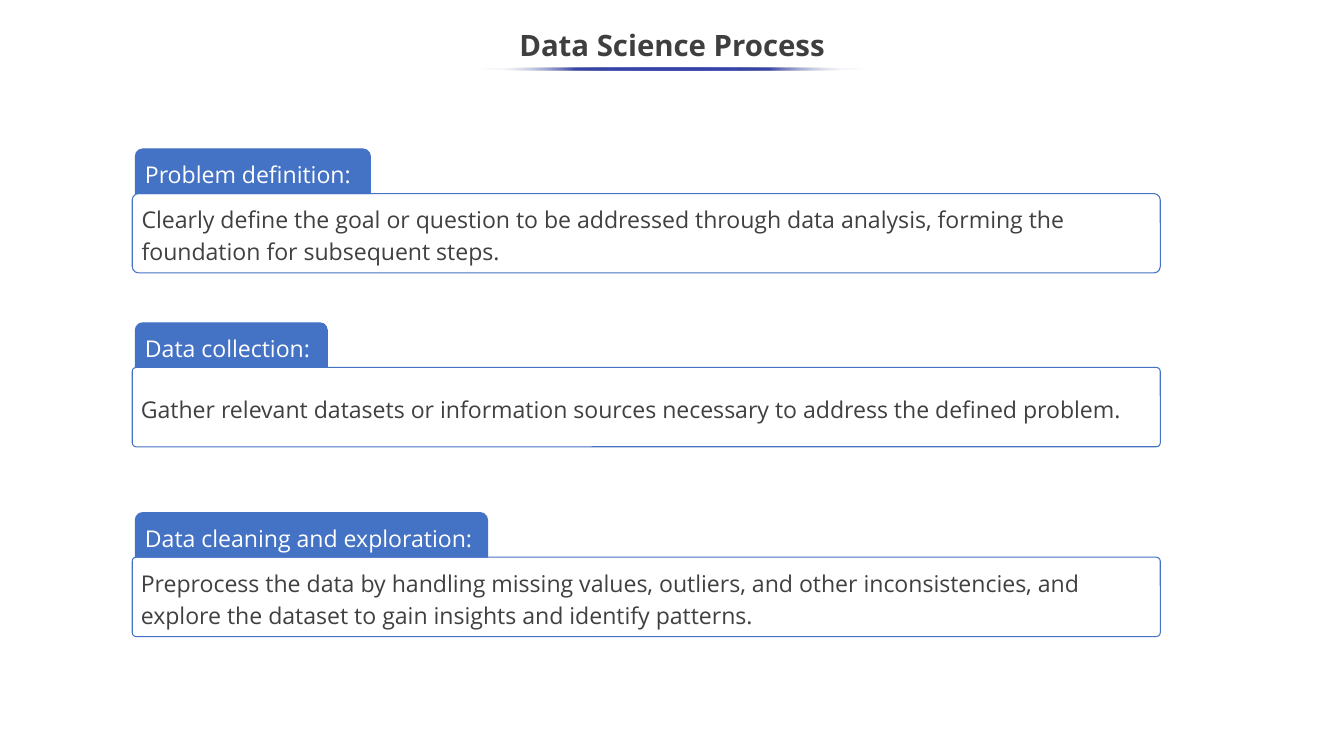
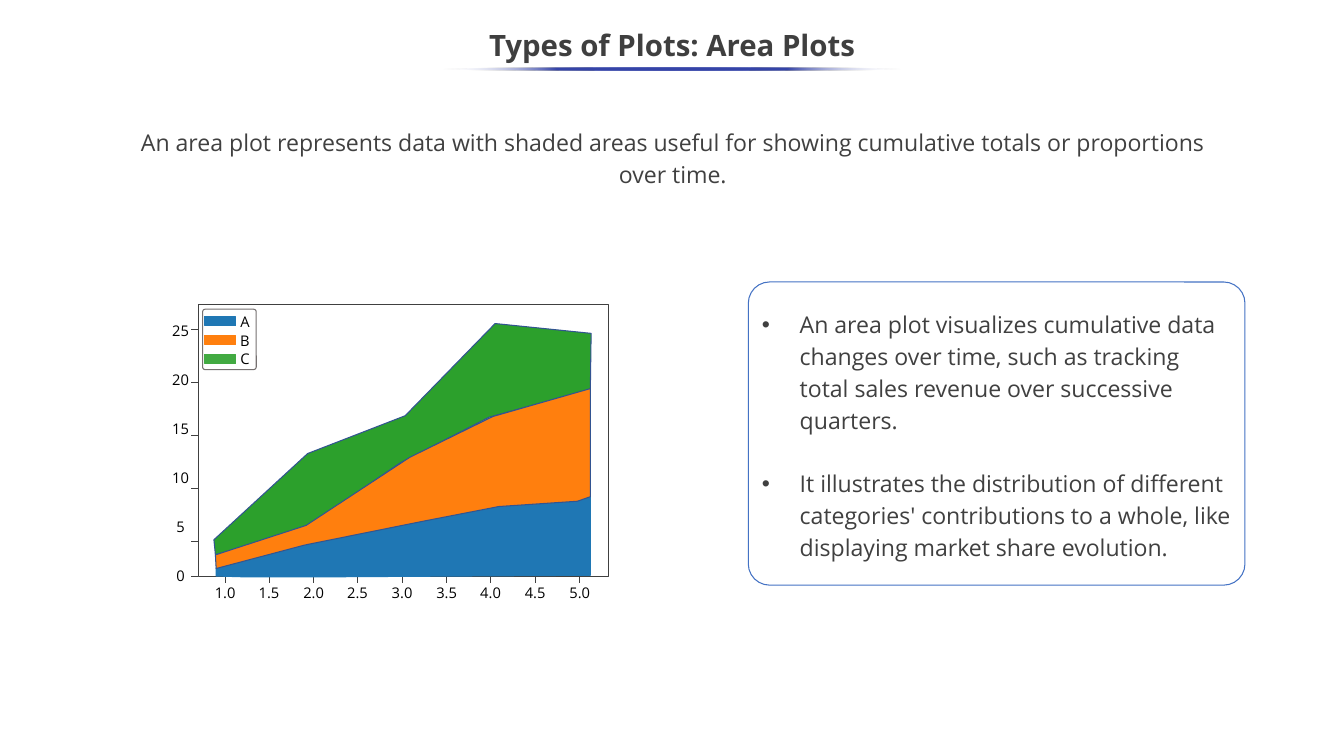
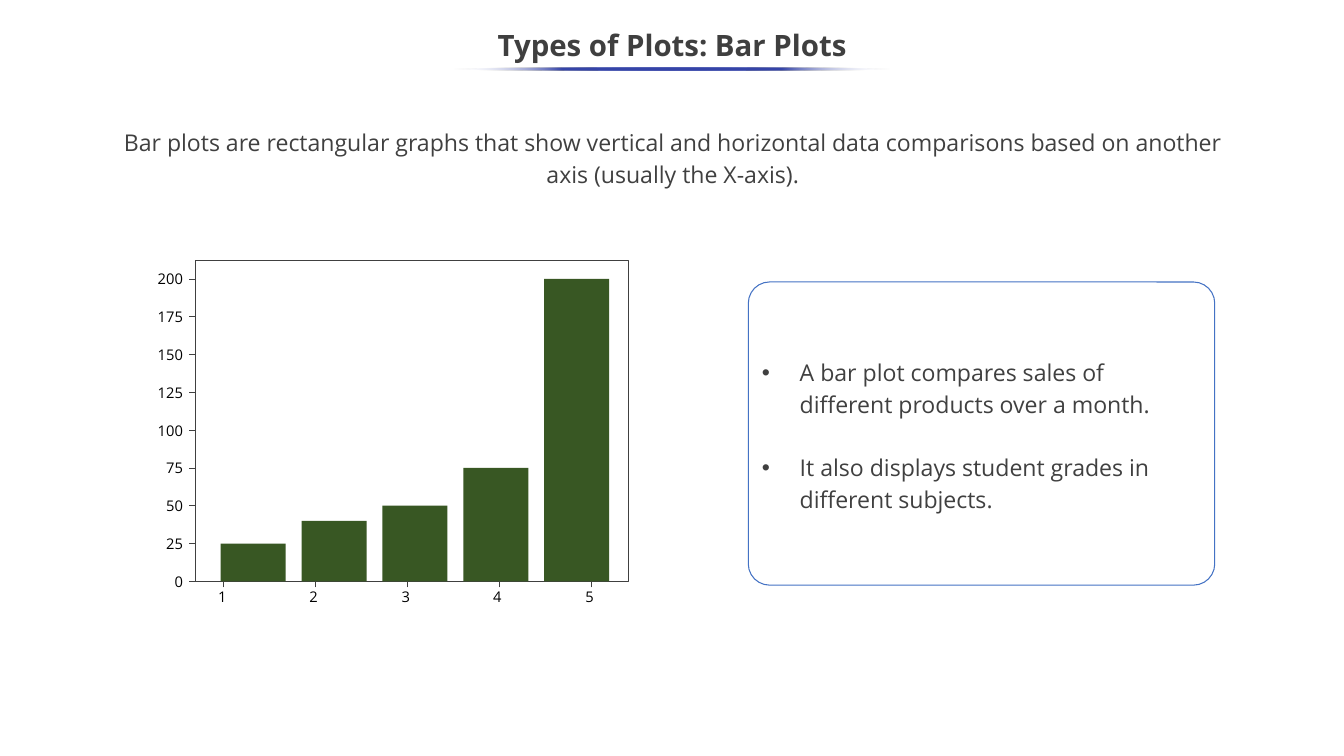
from lxml import etree
from pptx import Presentation
from pptx import util as u
from pptx.dml.color import RGBColor
from pptx.enum import shapes, text
from pptx.oxml import parse_xml
from pptx.oxml.ns import nsdecls, qn

PX = 9144  # EMU per px, 100 px to the inch
WIDTH, HEIGHT = 1778, 1000
FONT = "Open Sans"
WHITE = RGBColor(0xFF, 0xFF, 0xFF)
BLACK = RGBColor(0x00, 0x00, 0x00)
TITLE = RGBColor(0x3F, 0x3F, 0x3F)
BODY = RGBColor(0x40, 0x40, 0x40)
BLUE = RGBColor(0x44, 0x72, 0xC4)
EDGE = RGBColor(0x32, 0x54, 0x91)
AREA_A = RGBColor(0x1F, 0x77, 0xB4)
AREA_B = RGBColor(0xFF, 0x7F, 0x0E)
AREA_C = RGBColor(0x2C, 0xA0, 0x2C)
KEY_C = RGBColor(0x42, 0xAA, 0x42)
KEY_FRAME = RGBColor(0x76, 0x71, 0x71)
BAR = RGBColor(0x38, 0x57, 0x23)

SHAPE = shapes.MSO_SHAPE
LEFT, CENTER, RIGHT = text.PP_ALIGN.LEFT, text.PP_ALIGN.CENTER, text.PP_ALIGN.RIGHT

GRADIENT_STOPS = f"""<a:gsLst {nsdecls("a")}>
  <a:gs pos="0"><a:srgbClr val="FFFFFF"><a:alpha val="0"/></a:srgbClr></a:gs>
  <a:gs pos="25000"><a:srgbClr val="3645A9"/></a:gs>
  <a:gs pos="75000"><a:srgbClr val="3645A9"/></a:gs>
  <a:gs pos="100000"><a:srgbClr val="FFFFFF"><a:alpha val="0"/></a:srgbClr></a:gs>
</a:gsLst>"""


def add_box(s, kind, box, fill=None, line=None, radius=None):
    sp = s.shapes.add_shape(kind, *[v * PX for v in box])
    sp.shadow.inherit = False
    if fill is None:
        sp.fill.background()
    else:
        sp.fill.solid()
        sp.fill.fore_color.rgb = fill
    if line is None:
        sp.line.fill.background()
    else:
        sp.line.color.rgb = line
        sp.line.width = u.Pt(1)
    if radius is not None:
        sp.adjustments[0] = radius
    return sp


def write(sp, lines, size=22, color=BODY, align=LEFT, spacing=1.15,
          bold=False, bullets=False, wrap=True):
    """Fill a shape with vertically centred paragraphs."""
    tf = sp.text_frame
    tf.word_wrap = wrap
    tf.vertical_anchor = text.MSO_ANCHOR.MIDDLE
    for i, line in enumerate(lines):
        p = tf.add_paragraph() if i else tf.paragraphs[0]
        p.alignment = align
        p.line_spacing = spacing
        if bullets:
            if i:
                p.space_before = u.Pt(30)
            pPr = p._p.get_or_add_pPr()
            pPr.set("marL", str(50 * PX))
            pPr.set("indent", str(-50 * PX))
            etree.SubElement(pPr, qn("a:buFont")).set("typeface", "Arial")
            etree.SubElement(pPr, qn("a:buChar")).set("char", "•")
        r = p.add_run()
        r.text = line
        r.font.name = FONT
        r.font.size = u.Pt(size)
        r.font.bold = bold
        r.font.color.rgb = color
    return tf


prs = Presentation()
prs.slide_width, prs.slide_height = WIDTH * PX, HEIGHT * PX

# Shared: title, fading underline, introduction
PAGES = [
    ("Data Science Process", 506, []),
    ("Types of Plots: Area Plots", 608,
     ["An area plot represents data with shaded areas useful for showing "
      "cumulative totals or proportions", "over time."]),
    ("Types of Plots: Bar Plots", 578,
     ["Bar plots are rectangular graphs that show vertical and horizontal data "
      "comparisons based on another axis (usually the X-axis)."]),
]
for title, underline_w, intro in PAGES:
    s = prs.slides.add_slide(prs.slide_layouts[6])
    sp = s.shapes.add_textbox(0, 25 * PX, WIDTH * PX, 75 * PX)
    write(sp, [title], 28, TITLE, CENTER, 0.9, bold=True)
    sp = add_box(s, SHAPE.OVAL, ((WIDTH - underline_w) // 2, 89, underline_w, 4))
    sp.fill.gradient()
    sp.fill.gradient_angle = 180
    stops = sp._element.spPr.find(".//" + qn("a:gsLst"))
    stops.getparent().replace(stops, parse_xml(GRADIENT_STOPS))
    if intro:
        sp = s.shapes.add_textbox(141 * PX, 165 * PX, 1498 * PX, 99 * PX)
        tf = write(sp, intro, align=CENTER)
        tf.vertical_anchor = text.MSO_ANCHOR.TOP
        tf.margin_top = tf.margin_bottom = 0
process, area, bar = prs.slides

# Process steps: a tab on top of each card
STEPS = [
    ("Problem definition:", 256, 311, 0.08,
     "Clearly define the goal or question to be addressed through data analysis, "
     "forming the foundation for subsequent steps."),
    ("Data collection:", 486, 254, 0.05,
     "Gather relevant datasets or information sources necessary to address the "
     "defined problem."),
    ("Data cleaning and exploration:", 737, 466, 0.05,
     "Preprocess the data by handling missing values, outliers, and other "
     "inconsistencies, and explore the dataset to gain insights and identify "
     "patterns."),
]
for name, top, tab_w, radius, description in STEPS:
    card = add_box(process, SHAPE.ROUNDED_RECTANGLE, (175, top, 1360, 105),
                   line=BLUE, radius=radius)
    write(card, [description])
    tab = add_box(process, SHAPE.ROUND_2_SAME_RECTANGLE, (179, top - 59, tab_w, 59),
                  BLUE, BLUE)
    write(tab, [name], color=WHITE)

# Explanations beside the plots
NOTES = [
    (area, 657, [
        "An area plot visualizes cumulative data changes over time, such as "
        "tracking total sales revenue over successive quarters.",
        "It illustrates the distribution of different categories' contributions "
        "to a whole, like displaying market share evolution."]),
    (bar, 617, [
        "A bar plot compares sales of different products over a month.",
        "It also displays student grades in different subjects."]),
]
for s, w, points in NOTES:
    sp = add_box(s, SHAPE.ROUNDED_RECTANGLE, (990, 373, w, 401), line=BLUE, radius=0.07)
    write(sp, points, bullets=True)

# Axes: frame, ticks and labels; a label is (text, centre x, centre y, alignment)
area_x = [298 + i * 469 // 8 for i in range(9)]
area_y = [*range(436, 717, 70), 763]
bar_x = [296 + i * 243 // 2 for i in range(5)]
bar_y = [369 + 50 * i for i in range(9)]
AXES = [
    (area, (262, 403, 543, 360), area_x, area_y,
     [(f"{1 + i / 2:.1f}", x, 784, CENTER) for i, x in enumerate(area_x)]
     + [(str(25 - 5 * i), 239, 437 + 65 * i, CENTER) for i in range(6)]
     + [(key, 324, 425 + 25 * i, CENTER) for i, key in enumerate("ABC")]),
    (bar, (259, 344, 572, 425), bar_x, bar_y,
     [(str(i + 1), x - 2, 789, CENTER) for i, x in enumerate(bar_x)]
     + [(str(200 - 25 * i), 222, y, RIGHT) for i, y in enumerate(bar_y)]),
]
for s, frame, x_ticks, y_ticks, labels in AXES:
    add_box(s, SHAPE.RECTANGLE, frame, line=BODY)
    left, bottom = frame[0], frame[1] + frame[3]
    ticks = [(x, bottom + 8, x, bottom) for x in x_ticks]
    ticks += [(left, y, left - 9, y) for y in y_ticks]
    for ends in ticks:
        tick = s.shapes.add_connector(shapes.MSO_CONNECTOR.STRAIGHT,
                                      *[v * PX for v in ends])
        tick.line.color.rgb = BODY
        tick.line.width = u.Pt(0.75)
        etree.SubElement(tick._element.spPr, qn("a:effectLst"))
    for label, x, y, align in labels:
        sp = s.shapes.add_textbox((x - 30) * PX, (y - 18) * PX, 60 * PX, 36 * PX)
        write(sp, [label], 14, BLACK, align, 1.0, wrap=False)

# Stacked areas and their key
AREAS = [
    (AREA_C, EDGE, [(283, 714), (407, 600), (536, 550), (655, 428), (782, 441),
                    (781, 515), (647, 552), (530, 612), (403, 699), (285, 734)]),
    (AREA_A, AREA_A, [(286, 751), (399, 720), (538, 692), (661, 667), (765, 661),
                      (781, 657), (781, 761), (444, 763), (321, 763), (286, 762)]),
    (AREA_B, EDGE, [(285, 734), (286, 752), (403, 721), (557, 690), (660, 670),
                    (764, 663), (781, 657), (781, 514), (652, 551), (542, 605),
                    (405, 695)]),
]
for fill, line, points in AREAS:
    outline = area.shapes.build_freeform(*points[0], scale=PX)
    outline.add_line_segments(points[1:], close=True)
    sp = outline.convert_to_shape()
    sp.shadow.inherit = False
    sp.fill.solid()
    sp.fill.fore_color.rgb = fill
    sp.line.color.rgb = line
    sp.line.width = u.Pt(1)
add_box(area, SHAPE.ROUNDED_RECTANGLE, (268, 409, 71, 80), line=KEY_FRAME, radius=0.05)
for i, color in enumerate([AREA_A, AREA_B, KEY_C]):
    add_box(area, SHAPE.RECTANGLE, (271, 419 + 25 * i, 41, 12), color, color)

# Bars, two px to a unit
for i, value in enumerate([25, 40, 50, 75, 200]):
    add_box(bar, SHAPE.RECTANGLE, (292 + 107 * i, 769 - 2 * value, 86, 2 * value), BAR)

prs.save("out.pptx")
